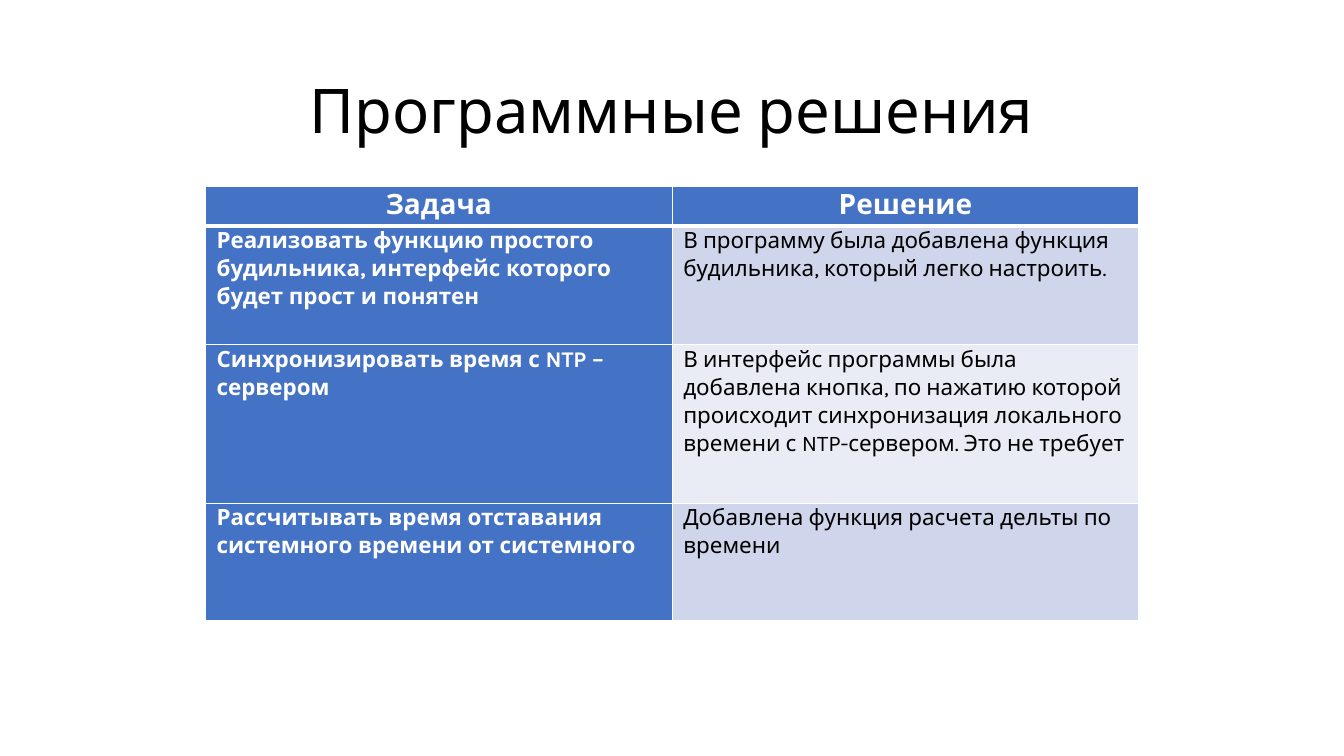
from lxml.etree import SubElement
from pptx import Presentation
from pptx.dml.color import RGBColor
from pptx.enum.text import MSO_ANCHOR, PP_ALIGN
from pptx.oxml.ns import qn
from pptx.util import Cm, Pt

COLORS = {
    "black": "000000",
    "white": "FFFFFF",
    "blue": "4472C4",
    "band_dark": "CFD5EA",
    "band_light": "E9EBF5",
}
HEADINGS = ("Задача", "Решение")
SOLUTIONS = [
    ("Реализовать функцию простого будильника, интерфейс которого будет прост и понятен",
     "В программу была добавлена функция будильника, который легко настроить."),
    ("Синхронизировать время с NTP – сервером",
     "В интерфейс программы была добавлена кнопка, по нажатию которой происходит "
     "синхронизация локального времени с NTP-сервером. Это не требует"),
    ("Рассчитывать время отставания системного времени от системного",
     "Добавлена функция расчета дельты по времени"),
]
ROW_HEIGHTS = (0.99, 3, 3.99, 2.95)


def color(name):
    return RGBColor.from_string(COLORS[name])


def write_text(text_frame, text, font, size, color_name="black", bold=False,
               align=PP_ALIGN.LEFT, line_spacing=1.07):
    paragraph = text_frame.paragraphs[0]
    paragraph.alignment = align
    paragraph.line_spacing = line_spacing
    run = paragraph.add_run()
    run.text = text
    run.font.name = font
    run.font.size = Pt(size)
    run.font.bold = bold
    run.font.color.rgb = color(color_name)


class SlideBuilder:
    def __init__(self, presentation, font):
        self.font = font
        self.slide = presentation.slides.add_slide(presentation.slide_layouts[5])

    def title(self, text, left, top, width, height):
        shape = self.slide.shapes.title
        shape.left, shape.top = Cm(left), Cm(top)
        shape.width, shape.height = Cm(width), Cm(height)
        shape.text_frame.vertical_anchor = MSO_ANCHOR.MIDDLE
        write_text(shape.text_frame, text, self.font, 44,
                   align=PP_ALIGN.CENTER, line_spacing=0.9)

    def table(self, rows, left, top, column_width, row_heights):
        columns = len(rows[0])
        table = self.slide.shapes.add_table(
            len(rows), columns, Cm(left), Cm(top),
            Cm(column_width * columns), Cm(sum(row_heights))).table
        for column in table.columns:
            column.width = Cm(column_width)
        for row_index, (texts, height) in enumerate(zip(rows, row_heights)):
            table.rows[row_index].height = Cm(height)
            for column_index, text in enumerate(texts):
                self.cell(table.cell(row_index, column_index), text, row_index, column_index)

    def cell(self, cell, text, row_index, column_index):
        header = row_index == 0
        strong = header or column_index == 0
        band = "band_dark" if row_index % 2 else "band_light"
        cell.margin_left = cell.margin_right = Cm(0.28)
        cell.margin_top = cell.margin_bottom = 0
        cell.vertical_anchor = MSO_ANCHOR.TOP
        self.borders(cell, top=3 if row_index == 1 else 1, bottom=3 if header else 1)
        cell.fill.solid()
        cell.fill.fore_color.rgb = color("blue" if strong else band)
        write_text(cell.text_frame, text, self.font, 20 if header else 16,
                   color_name="white" if strong else "black", bold=strong,
                   align=PP_ALIGN.CENTER if header else PP_ALIGN.LEFT)

    def borders(self, cell, top, bottom):
        properties = cell._tc.get_or_add_tcPr()
        for tag, width in (("a:lnL", 1), ("a:lnR", 1), ("a:lnT", top), ("a:lnB", bottom)):
            line = SubElement(properties, qn(tag), w=str(Pt(width)))
            fill = SubElement(line, qn("a:solidFill"))
            SubElement(fill, qn("a:srgbClr"), val=COLORS["white"])


presentation = Presentation()
presentation.slide_width = Cm(33.87)
presentation.slide_height = Cm(19.05)
builder = SlideBuilder(presentation, "Karla")
builder.title("Программные решения", 2.33, 1.01, 29.21, 3.68)
builder.table([HEADINGS, *SOLUTIONS], 5.18, 4.7, 11.76, ROW_HEIGHTS)
presentation.save("out.pptx")
